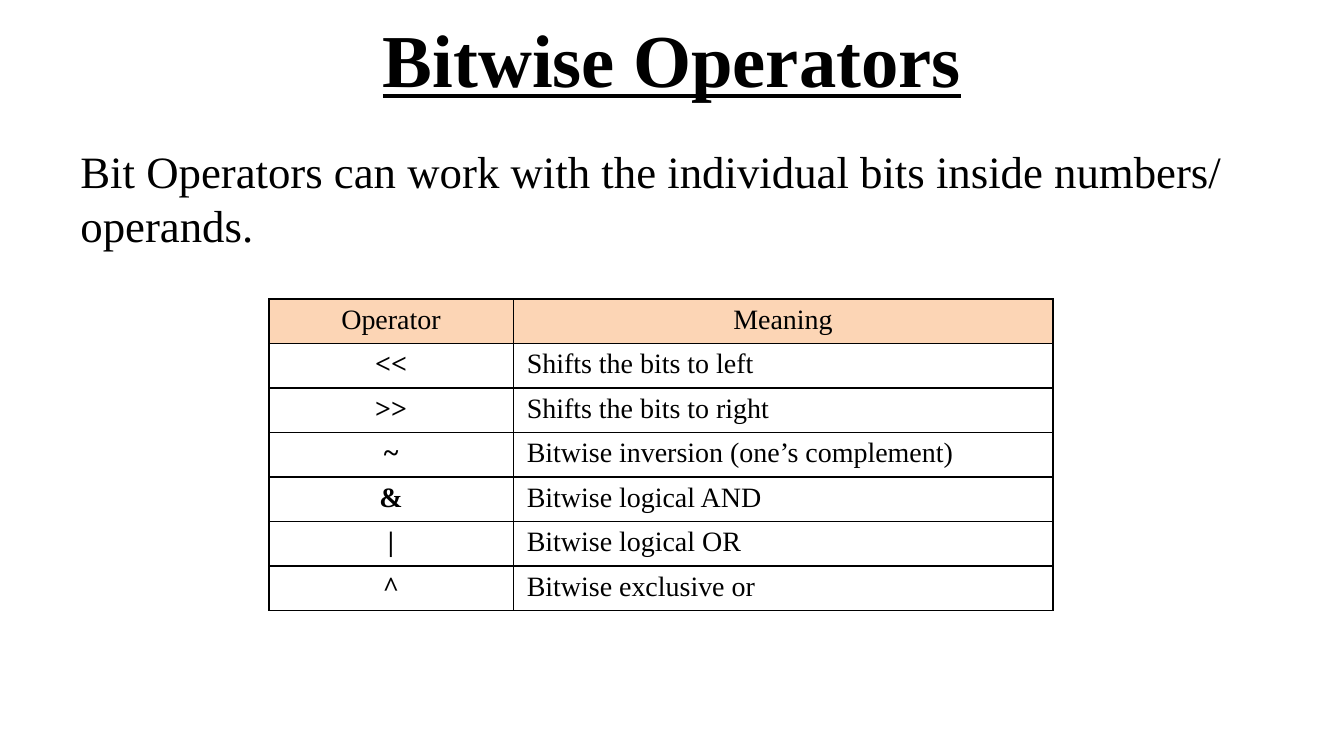
import pptx
import pptx.dml.color
import pptx.enum.text
import pptx.oxml
import pptx.oxml.ns
import pptx.util
from dataclasses import dataclass

Pt = pptx.util.Pt
Align = pptx.enum.text.PP_ALIGN
Anchor = pptx.enum.text.MSO_ANCHOR


@dataclass
class Theme:
    font: str = "Times New Roman"
    ink: str = "000000"
    header_fill: str = "FCD5B5"
    title_size: int = 40
    body_size: int = 24
    table_size: int = 15


theme = Theme()


def write_text(frame, text, size, alignment, **font_format):
    paragraph = frame.paragraphs[0]
    paragraph.alignment = alignment
    run = paragraph.add_run()
    run.text = text
    values = {"name": theme.font, "size": Pt(size), "bold": False, **font_format}
    for name, value in values.items():
        setattr(run.font, name, value)
    run.font.color.rgb = pptx.dml.color.RGBColor.from_string(theme.ink)


def add_borders(cell):
    for side in ("lnL", "lnR", "lnT", "lnB"):
        cell._tc.get_or_add_tcPr().append(pptx.oxml.parse_xml(
            f'<a:{side} {pptx.oxml.ns.nsdecls("a")} w="{Pt(1)}">'
            f'<a:solidFill><a:srgbClr val="{theme.ink}"/></a:solidFill></a:{side}>'))


presentation = pptx.Presentation()
presentation.slide_width = Pt(720)
presentation.slide_height = Pt(405)
slide = presentation.slides.add_slide(presentation.slide_layouts[6])

# Title and introduction
text_boxes = [
    ("Bitwise Operators", -3, 68, theme.title_size, Align.CENTER, Anchor.MIDDLE,
     {"bold": True, "underline": True}),
    ("Bit Operators can work with the individual bits inside numbers/ operands.",
     73.5, 75, theme.body_size, Align.LEFT, Anchor.TOP, {}),
]
for text, top, height, size, alignment, anchor, font_format in text_boxes:
    text_box = slide.shapes.add_textbox(Pt(36), Pt(top), Pt(648), Pt(height))
    text_box.text_frame.word_wrap = True
    text_box.text_frame.vertical_anchor = anchor
    write_text(text_box.text_frame, text, size, alignment, **font_format)

# Operator table
rows = [
    ("Operator", "Meaning"),
    ("<<", "Shifts the bits to left"),
    (">>", "Shifts the bits to right"),
    ("~", "Bitwise inversion (one’s complement)"),
    ("&", "Bitwise logical AND"),
    ("|", "Bitwise logical OR"),
    ("^", "Bitwise exclusive or"),
]
column_widths = (131, 289)
row_height = 23.4
table = slide.shapes.add_table(
    len(rows), len(column_widths), Pt(144), Pt(160.3),
    Pt(sum(column_widths)), Pt(row_height * len(rows))).table
table.first_row = False
table.horz_banding = False
for column, width in zip(table.columns, column_widths):
    column.width = Pt(width)

cell_margins = {"margin_left": 7.2, "margin_right": 7.2,
                "margin_top": 2.9, "margin_bottom": 2.9}
for row_index, row in enumerate(rows):
    table.rows[row_index].height = Pt(row_height)
    is_header = row_index == 0
    for column_index, text in enumerate(row):
        is_operator = column_index == 0
        cell = table.cell(row_index, column_index)
        for name, value in cell_margins.items():
            setattr(cell, name, Pt(value))
        add_borders(cell)
        if is_header:
            cell.fill.solid()
            cell.fill.fore_color.rgb = pptx.dml.color.RGBColor.from_string(theme.header_fill)
        else:
            cell.fill.background()
        write_text(cell.text_frame, text, theme.table_size,
                   Align.CENTER if is_header or is_operator else Align.LEFT,
                   bold=is_operator and not is_header)

presentation.save("out.pptx")
